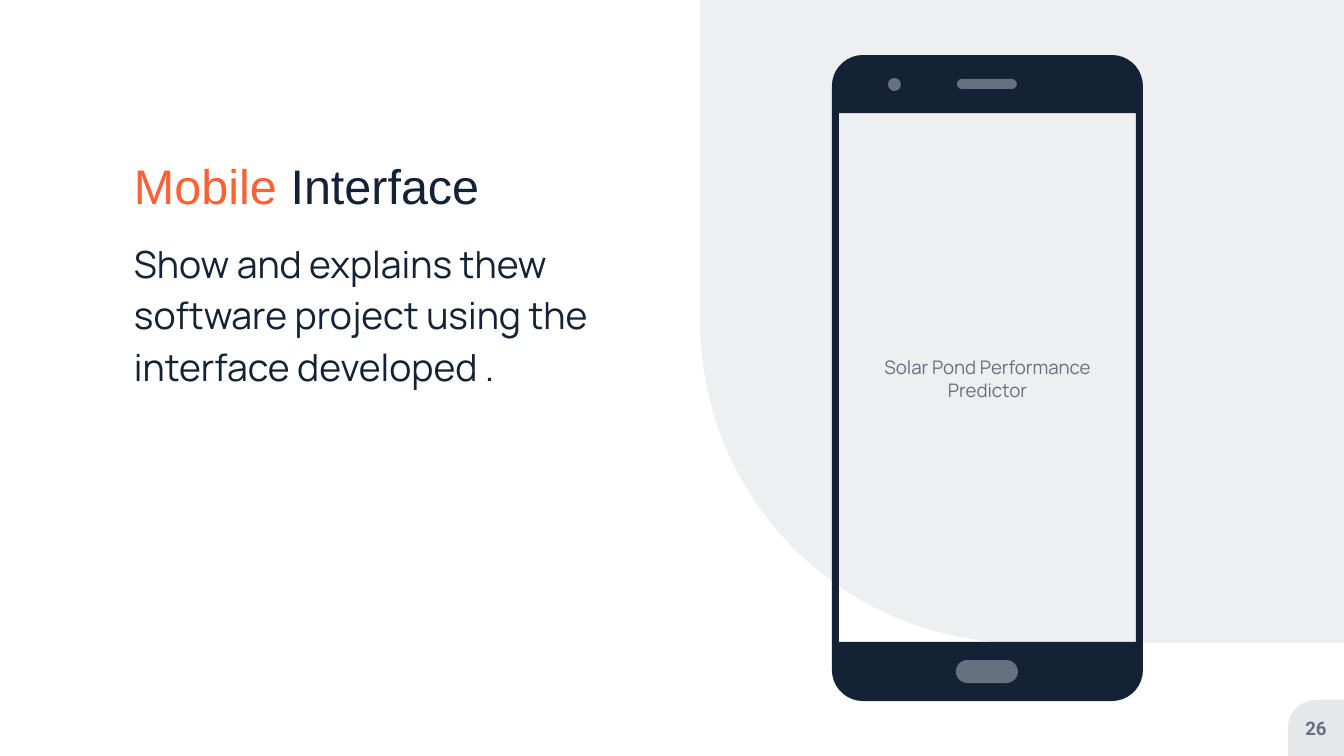
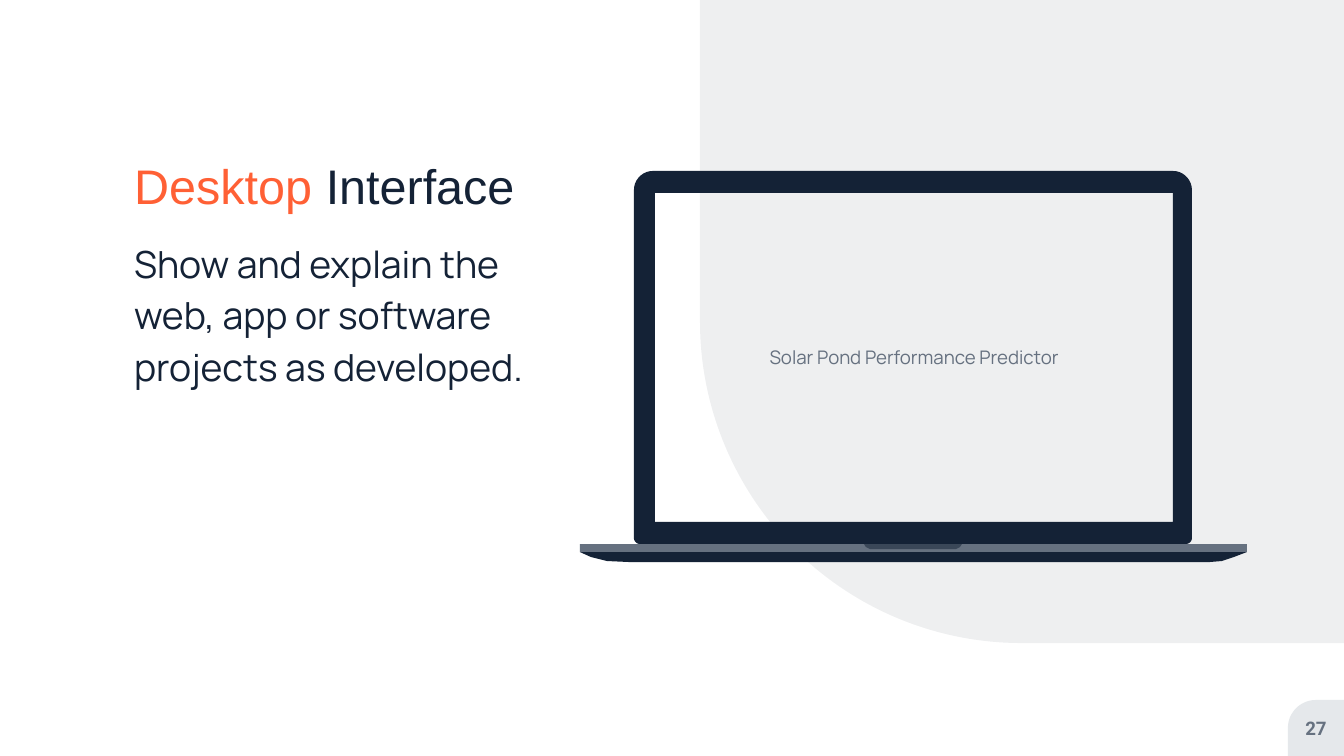
import math

import lxml.etree
import pptx
import pptx.dml.color
import pptx.enum.shapes
import pptx.enum.text
import pptx.oxml.ns
import pptx.util

PX = 6804  # EMU in one pixel at 134.4 pixels to the inch
NAVY, GREY, ORANGE, PALE = "142236", "667180", "FF6035", "E5E8EB"
SHAPE = pptx.enum.shapes.MSO_SHAPE
ANCHOR = pptx.enum.text.MSO_ANCHOR
ALIGN = pptx.enum.text.PP_ALIGN


def paint(shape, colour, opacity=100):
    """Give the shape a flat fill, without line or shadow; opacity is in percent."""
    shape.shadow.inherit = False
    shape.line.fill.background()
    shape.fill.solid()
    shape.fill.fore_color.rgb = pptx.dml.color.RGBColor.from_string(colour)
    if opacity < 100:
        colour_element = shape._element.spPr.find(".//" + pptx.oxml.ns.qn("a:srgbClr"))
        alpha = lxml.etree.SubElement(colour_element, pptx.oxml.ns.qn("a:alpha"))
        alpha.set("val", str(opacity * 1000))


def add_text(page, area, spans, size, font, anchor=ANCHOR.MIDDLE, align=ALIGN.CENTER,
             spacing=1.0, inset=0, bold=False):
    """Add one paragraph made of (text, colour) spans."""
    box = page.shapes.add_textbox(*(value * PX for value in area))
    frame = box.text_frame
    frame.word_wrap = True
    frame.vertical_anchor = anchor
    frame.margin_left = frame.margin_right = inset * PX
    frame.margin_top = frame.margin_bottom = inset * PX
    para = frame.paragraphs[0]
    para.alignment = align
    para.line_spacing = spacing
    para.font.size = pptx.util.Pt(size)
    para.font.name = font
    para.font.bold = bold
    for text, colour in spans:
        span = para.add_run()
        span.text = text
        span.font.color.rgb = pptx.dml.color.RGBColor.from_string(colour)


deck = pptx.Presentation()
deck.slide_width, deck.slide_height = 1344 * PX, 756 * PX

# Frames are left, top, right, bottom; all other areas are left, top, width, height.
pages = [
    {
        "number": "26", "accent": "Mobile", "text_width": 509,
        "body": "Show and explains thew software project using the interface developed .",
        "label": (839, 116, 297, 525),
        "frame": (832, 55, 1143, 701), "radii": (31, 31), "screen": (839, 113, 1136, 642),
        "details": [
            (SHAPE.ROUNDED_RECTANGLE, (956, 660, 62, 23)),
            (SHAPE.OVAL, (888, 78, 13, 13)),
            (SHAPE.ROUNDED_RECTANGLE, (957, 79, 60, 10)),
        ],
        "outlines": [],
    },
    {
        "number": "27", "accent": "Desktop", "text_width": 394,
        "body": "Show and explain the web, app or software projects as developed.",
        "label": (655, 192, 518, 331),
        "frame": (634, 171, 1192, 544), "radii": (19, 6), "screen": (655, 193, 1173, 522),
        "details": [(SHAPE.RECTANGLE, (580, 544, 667, 8))],
        "outlines": [
            ([(580, 552), (591, 557), (607, 561), (629, 562), (1210, 562),
              (1222, 561), (1234, 557), (1247, 552)], 100),
            ([(864, 544), (866, 547), (870, 549), (956, 549), (960, 547), (962, 544)], 53),
        ],
    },
]

for content in pages:
    page = deck.slides.add_slide(deck.slide_layouts[6])

    band = page.shapes.add_shape(SHAPE.ROUND_1_RECTANGLE, 700 * PX, 0, 644 * PX, 643 * PX)
    band.rotation = 180
    band.adjustments[0] = 0.5
    paint(band, NAVY, 7)
    corner = page.shapes.add_shape(SHAPE.ROUND_1_RECTANGLE, 1288 * PX, 700 * PX, 56 * PX, 56 * PX)
    corner._element.spPr.xfrm.set("flipH", "1")
    corner.adjustments[0] = 0.5
    paint(corner, PALE)

    add_text(page, (1288, 700, 56, 56), [(content["number"], GREY)], 10, "Roboto", bold=True)
    add_text(page, (134, 122, content["text_width"], 93),
             [(content["accent"], ORANGE), (" Interface", NAVY)], 26, "Arial",
             ANCHOR.BOTTOM, ALIGN.LEFT, 0.9)
    add_text(page, (134, 234, content["text_width"], 409), [(content["body"], NAVY)],
             20, "Manrope", ANCHOR.TOP, ALIGN.LEFT, 1.15)
    add_text(page, content["label"], [("Solar Pond Performance Predictor", GREY)],
             10, "Manrope", inset=13)

    device = page.shapes.add_group_shape()

    # The frame runs clockwise from the top left, with an arc at each corner.
    left, top, right, bottom = content["frame"]
    upper, lower = content["radii"]
    corners = [
        (left + upper, top + upper, upper, 180),
        (right - upper, top + upper, upper, 270),
        (right - lower, bottom - lower, lower, 0),
        (left + lower, bottom - lower, lower, 90),
    ]
    rim = []
    for x, y, radius, start in corners:
        for step in range(0, 91, 10):
            angle = math.radians(start + step)
            rim.append((x + radius * math.cos(angle), y + radius * math.sin(angle)))
    left, top, right, bottom = content["screen"]
    opening = [(left, top), (left, bottom), (right, bottom), (right, top)]

    for shape_type, area in content["details"]:
        detail = device.shapes.add_shape(shape_type, *(value * PX for value in area))
        if shape_type == SHAPE.ROUNDED_RECTANGLE:
            detail.adjustments[0] = 0.5
        paint(detail, GREY)

    outlines = [([rim, opening], 100)]
    outlines += [([points], opacity) for points, opacity in content["outlines"]]
    for contours, opacity in outlines:
        builder = None
        for contour in contours:
            points = [(round(x * PX), round(y * PX)) for x, y in contour]
            if builder is None:
                builder = device.shapes.build_freeform(*points[0], scale=1.0)
            else:
                builder.move_to(*points[0])
            builder.add_line_segments(points[1:], close=True)
        outline = builder.convert_to_shape()
        paint(outline, NAVY, opacity)
        if len(contours) > 1:  # the frame lies behind the details
            device._element.insert(2, outline._element)

deck.save("out.pptx")
